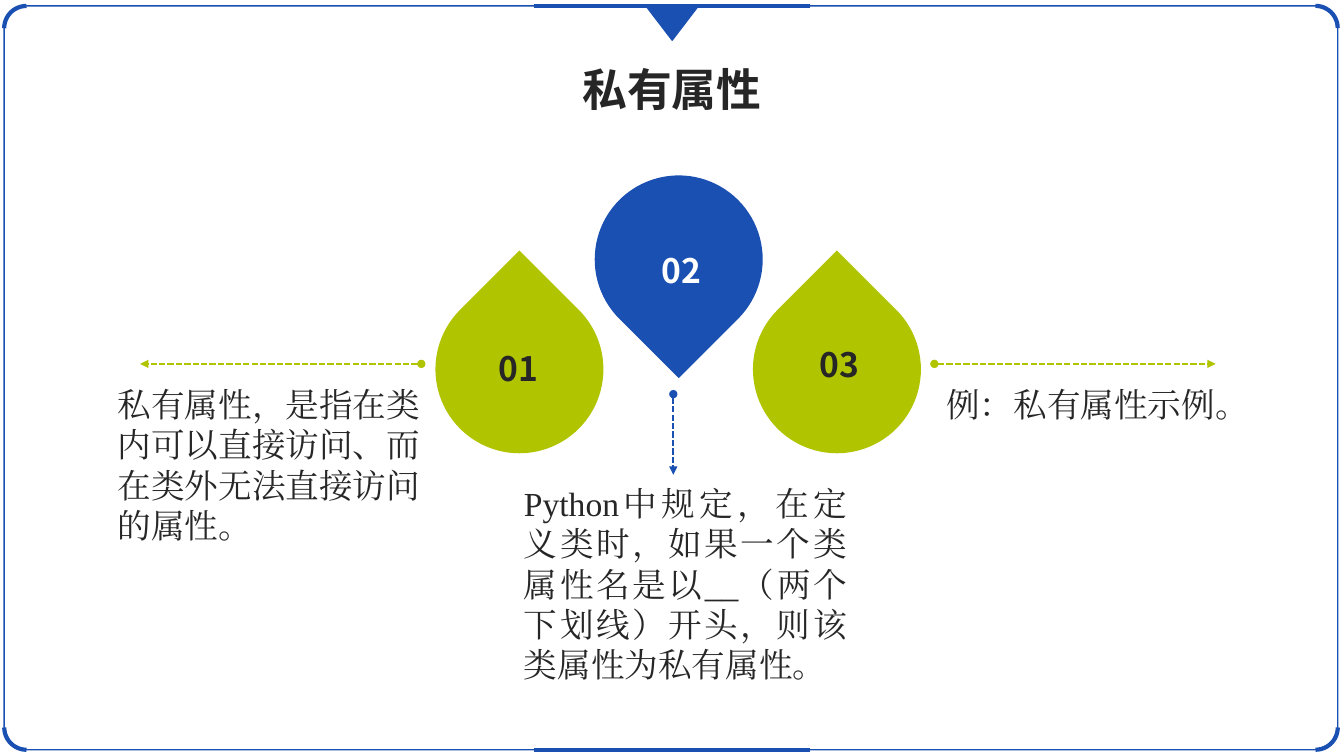
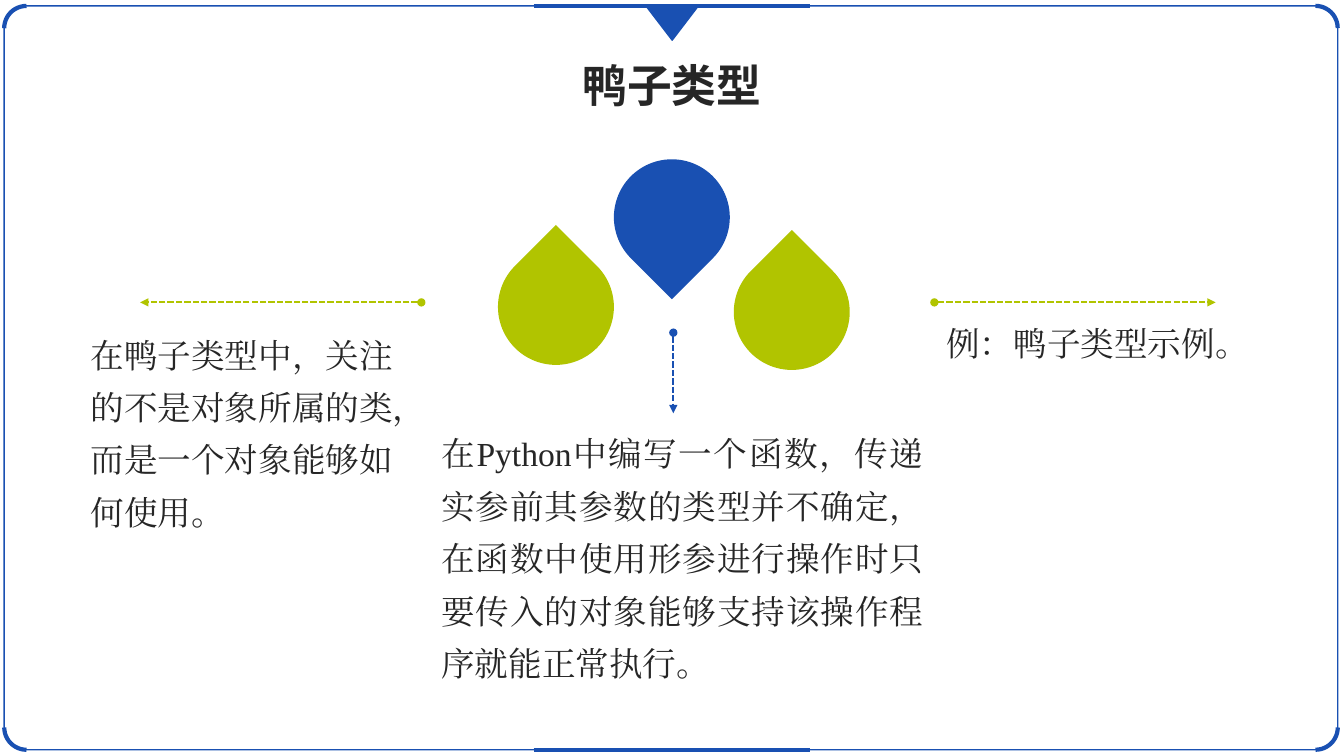
from lxml.etree import SubElement
from pptx import Presentation
from pptx.dml.color import RGBColor
from pptx.enum.dml import MSO_LINE
from pptx.enum.shapes import MSO_CONNECTOR, MSO_SHAPE as Preset
from pptx.enum.text import MSO_ANCHOR, MSO_AUTO_SIZE, PP_ALIGN as Align
from pptx.oxml.ns import qn
from pptx.util import Emu, Inches, Pt

# The slide is a grid of 160 columns by 90 rows of square cells.
COLUMNS, ROWS = 160, 90
CELL = Inches(7.5) // ROWS
BLUE, GREEN, INK, WHITE = "1950B2", "B1C400", "262626", "FFFFFF"
HEADING = {"name": "Noto Sans CJK SC", "bold": True}
TITLE = HEADING | {"size": Pt(32)}
NUMBER = HEADING | {"size": Pt(24)}
BODY = {"name": "Times New Roman", "size": Pt(24), "bold": False}
FRAME = (0.5, 0.7, 158.76, 88.56)
TITLE_ONLY = 5

PAGES = [
    {
        "title": "私有属性", "title_top": 6.72, "arrow_row": 43.32, "drop_size": 20,
        # left, top, number, shift of the number from the middle of the drop
        "drops": [(51.84, 33.96, "01", (-0.16, -0.16)),
                  (70.8, 20.88, "02", (0.32, 1.28)),
                  (89.64, 33.96, "03", (0.32, -0.64))],
        # left, width, height, line spacing, text
        "notes": [
            (12.84, 39.36, 20.64, 1, "私有属性，是指在类内可以直接访问、而在类外无法直接访问的属性。"),
            (61.2, 40.8, 25.44, 1,
             "Python中规定，在定义类时，如果一个类属性名是以__（两个下划线）开头，则该类属性为私有属性。"),
            (111.48, 39.36, 6, 1, "例：私有属性示例。"),
        ],
    },
    {
        "title": "鸭子类型", "title_top": 6.24, "arrow_row": 36, "drop_size": 13.8,
        "drops": [(59.28, 29.64, None, None),
                  (73.08, 18.96, None, None),
                  (87.36, 30.24, None, None)],
        "notes": [
            (9.6, 39.36, 25.8, 1.3, "在鸭子类型中，关注的不是对象所属的类，而是一个对象能够如何使用。"),
            (51.36, 59.76, 32.76, 1.3,
             "在Python中编写一个函数，传递实参前其参数的类型并不确定，"
             "在函数中使用形参进行操作时只要传入的对象能够支持该操作程序就能正常执行。"),
            (111.48, 39.36, 6, 1, "例：鸭子类型示例。"),
        ],
    },
]


def cells(*counts):
    return [Emu(round(count * CELL)) for count in counts]


def rgb(colour):
    return RGBColor.from_string(colour)


def set_all(target, values):
    for name, value in values.items():
        setattr(target, name, value)


def add_preset(page, preset, box, fill=None, line=None, weight=1, rotation=0):
    shape = page.shapes.add_shape(preset, *cells(*box))
    shape.shadow.inherit = False
    shape.rotation = rotation
    if fill:
        shape.fill.solid()
        shape.fill.fore_color.rgb = rgb(fill)
    else:
        shape.fill.background()
    if line:
        shape.line.color.rgb = rgb(line)
        shape.line.width = Pt(weight)
    else:
        shape.line.fill.background()
    return shape


def add_line(page, start, end, colour, weight):
    line = page.shapes.add_connector(MSO_CONNECTOR.STRAIGHT, *cells(*start, *end))
    line.line.color.rgb = rgb(colour)
    line.line.width = Pt(weight)
    SubElement(line.element.spPr, qn("a:effectLst"))
    return line


def add_arrow(page, start, end, colour):
    """Dashed arrow that starts with a dot."""
    arrow = add_line(page, start, end, colour, 1.5)
    arrow.line.dash_style = MSO_LINE.SQUARE_DOT
    outline = arrow.element.spPr.find(qn("a:ln"))
    for tag, kind in (("a:headEnd", "oval"), ("a:tailEnd", "triangle")):
        SubElement(outline, qn(tag), type=kind)


def write(shape, text, font, colour=INK, align=Align.LEFT, spacing=1, **frame):
    set_all(shape.text_frame, {"auto_size": MSO_AUTO_SIZE.NONE} | frame)
    para = shape.text_frame.paragraphs[0]
    set_all(para, {"alignment": align, "line_spacing": spacing})
    span = para.add_run()
    span.text = text
    set_all(span.font, font)
    span.font.color.rgb = rgb(colour)
    SubElement(span._r.get_or_add_rPr(), qn("a:ea"), typeface=font["name"])


def add_frame(page, box):
    """Border with round corners, thick middles and a pointer at the top."""
    left, top, width, height = box
    right, bottom = left + width, top + height
    border = add_preset(page, Preset.ROUNDED_RECTANGLE, box, line=BLUE)
    border.adjustments[0] = 0.029
    parts = [border]
    side = 5.3
    corners = [(left, top, 270), (right - side, top, 0),
               (right - side, bottom - side, 90), (left, bottom - side, 180)]
    for x, y, turn in corners:
        parts.append(add_preset(page, Preset.ARC, (x, y, side, side),
                                line=BLUE, weight=3, rotation=turn))
    for y in (top, bottom):
        parts.append(add_line(page, (left + 0.397 * width, y),
                              (left + 0.604 * width, y), BLUE, 3))
    pointer = (left + width / 2 + 0.14 - 3.12, top, 6.24, 4.08)
    parts.append(add_preset(page, Preset.ISOSCELES_TRIANGLE, pointer,
                            fill=BLUE, line=BLUE, rotation=180))
    return parts


def move_to_layout(parts, layout):
    for number, part in enumerate(parts, start=100):
        part.element.xpath(".//p:cNvPr")[0].set("id", str(number))
        layout.shapes.element.append(part.element)


def add_title(page, text, top):
    title = page.shapes.title
    set_all(title, dict(zip(("left", "top", "width", "height"),
                            cells(COLUMNS / 2 - 12, top, 24, 7.68))))
    write(title, text, TITLE, align=Align.CENTER, word_wrap=False,
          vertical_anchor=MSO_ANCHOR.MIDDLE)


def add_drop(page, box, colour, points_down, number, shift):
    left, top, width, height = box
    add_preset(page, Preset.TEAR, box, fill=colour,
               rotation=135 if points_down else 315)
    if number:
        middle_x, middle_y = left + width / 2 + shift[0], top + height / 2 + shift[1]
        label = page.shapes.add_textbox(*cells(middle_x - 3.72, middle_y - 3, 7.44, 6))
        write(label, number, NUMBER, WHITE if points_down else INK, Align.CENTER,
              word_wrap=False, vertical_anchor=MSO_ANCHOR.MIDDLE)


def add_arrows(page, row):
    add_arrow(page, (50.16, row), (16.68, row), GREEN)
    add_arrow(page, (80.16, row + 3.6), (80.16, row + 13.2), BLUE)
    add_arrow(page, (111.24, row), (144.72, row), GREEN)


def add_note(page, box, text, align, spacing):
    note = page.shapes.add_textbox(*cells(*box))
    write(note, text, BODY, align=align, spacing=spacing, word_wrap=True,
          auto_size=MSO_AUTO_SIZE.SHAPE_TO_FIT_TEXT)


def fill_page(page, content):
    """Title, three drops, and an arrow and a note for each drop."""
    add_title(page, content["title"], content["title_top"])
    size, row = content["drop_size"], content["arrow_row"]
    for index, (left, top, number, shift) in enumerate(content["drops"]):
        central = index == 1
        add_drop(page, (left, top, size, size), BLUE if central else GREEN,
                 central, number, shift)
    add_arrows(page, row)
    for index, (left, width, height, spacing, text) in enumerate(content["notes"]):
        central = index == 1
        top = row + (13.56 if central else 1.8)
        add_note(page, (left, top, width, height), text,
                 Align.JUSTIFY if central else Align.LEFT, spacing)


def main():
    deck = Presentation()
    deck.slide_width, deck.slide_height = cells(COLUMNS, ROWS)
    layout = deck.slide_layouts[TITLE_ONLY]
    pages = [deck.slides.add_slide(layout) for _ in PAGES]
    move_to_layout(add_frame(pages[0], FRAME), layout)
    for page, content in zip(pages, PAGES):
        fill_page(page, content)
    deck.save("out.pptx")


if __name__ == "__main__":
    main()
